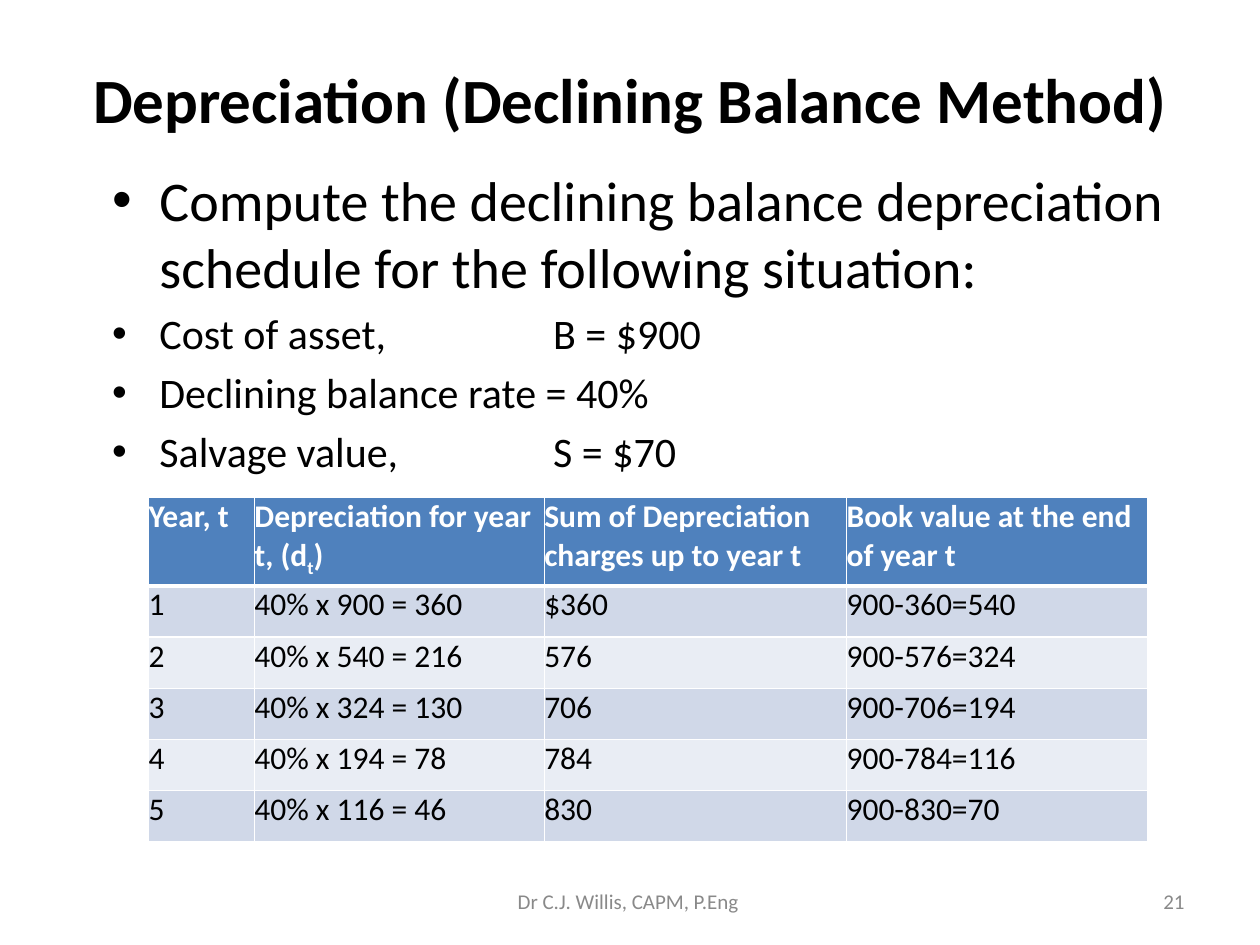
from dataclasses import dataclass

import pptx
import pptx.dml.color
import pptx.enum.text
import pptx.oxml
import pptx.oxml.ns
import pptx.util

RGBColor = pptx.dml.color.RGBColor
Pt = pptx.util.Pt
ALIGN = pptx.enum.text.PP_ALIGN
ANCHOR = pptx.enum.text.MSO_ANCHOR

BLACK = RGBColor(0x00, 0x00, 0x00)
WHITE = RGBColor(0xFF, 0xFF, 0xFF)
GREY = RGBColor(0x89, 0x89, 0x89)
HEADER = RGBColor(0x4F, 0x81, 0xBD)
BANDS = (RGBColor(0xD0, 0xD8, 0xE8), RGBColor(0xE9, 0xED, 0xF4))

FONT = "Calibri"
WIDTH = pptx.util.Inches(10)
HEIGHT = pptx.util.Inches(7.5)


@dataclass(frozen=True)
class Box:
    """Place and size in percent of the slide."""
    left: float
    top: float
    width: float
    height: float

    def emu(self) -> tuple[int, int, int, int]:
        return (across(self.left), down(self.top),
                across(self.width), down(self.height))


@dataclass(frozen=True)
class Footer:
    text: str
    box: Box
    align: ALIGN


@dataclass(frozen=True)
class Bullet:
    text: str
    size: int
    before: float


BULLETS = (
    Bullet("Compute the declining balance depreciation schedule "
           "for the following situation:", 32, 0),
    Bullet("Cost of asset, \t\t\tB = $900", 24, 4.8),
    Bullet("Declining balance rate = 40%", 24, 4.8),
    Bullet("Salvage value, \t\t\tS = $70", 24, 4.8),
)
FOOTERS = (
    Footer("21", Box(71.7, 92.67, 23.3, 5.33), ALIGN.RIGHT),
    Footer("Dr C.J. Willis, CAPM, P.Eng ", Box(34.2, 92.67, 31.7, 5.33), ALIGN.CENTER),
)
COLUMNS = (8.4, 23, 24, 23.9)
HEADER_ROW, BODY_ROW = 9.33, 5.42
ROWS = (
    ("Year, t", ("Depreciation for year t, (d", "t", ")"),
     "Sum of Depreciation charges up to year t",
     "Book value at the end of year t"),
    ("1", "40% x 900 = 360", "$360", "900-360=540"),
    ("2", "40% x 540 = 216", "576", "900-576=324"),
    ("3", "40% x 324 = 130", "706", "900-706=194"),
    ("4", "40% x 194 = 78", "784", "900-784=116"),
    ("5", "40% x 116 = 46", "830", "900-830=70"),
)


def across(share: float) -> int:
    return round(WIDTH * share / 100)


def down(share: float) -> int:
    return round(HEIGHT * share / 100)


def add_text(p, text: str, *, size: float, color: RGBColor = BLACK,
             bold: bool = False, align=None, before=None, subscript: bool = False):
    if align is not None:
        p.alignment = align
    if before is not None:
        p.space_before = Pt(before)
    r = p.add_run()
    r.text = text
    r.font.name = FONT
    r.font.size = Pt(size)
    r.font.bold = bold
    r.font.color.rgb = color
    if subscript:
        r.font._element.set("baseline", "-25000")
    return r


def place(sp, box: Box, anchor: ANCHOR):
    sp.left, sp.top, sp.width, sp.height = box.emu()
    tf = sp.text_frame
    tf.word_wrap = True
    tf.auto_size = pptx.enum.text.MSO_AUTO_SIZE.NONE
    tf.vertical_anchor = anchor
    return tf


def set_borders(cell, **widths: float) -> None:
    tc_pr = cell._tc.get_or_add_tcPr()
    for i, (side, width) in enumerate(widths.items()):
        tc_pr.insert(i, pptx.oxml.parse_xml(
            f'<a:ln{side} {pptx.oxml.ns.nsdecls("a")} w="{Pt(width)}">'
            f'<a:solidFill><a:srgbClr val="{WHITE}"/></a:solidFill></a:ln{side}>'))


def draw_cell(cell, content, row: int) -> None:
    head = row == 0
    cell.margin_left = cell.margin_right = cell.margin_top = cell.margin_bottom = 0
    cell.fill.solid()
    cell.fill.fore_color.rgb = HEADER if head else BANDS[(row - 1) % 2]
    set_borders(cell, L=1, R=1, T=3 if row == 1 else 1, B=3 if head else 1)
    parts = (content,) if isinstance(content, str) else content
    for i, part in enumerate(parts):
        add_text(cell.text_frame.paragraphs[0], part, size=18, bold=head,
                 color=WHITE if head else BLACK, subscript=i == 1)


def draw_table(slide) -> None:
    heights = [HEADER_ROW] + [BODY_ROW] * (len(ROWS) - 1)
    box = Box(11.8, 52.67, sum(COLUMNS), sum(heights))
    table = slide.shapes.add_table(len(ROWS), len(COLUMNS), *box.emu()).table
    table.horz_banding = False
    for column, width in zip(table.columns, COLUMNS):
        column.width = across(width)
    for i, (row, height) in enumerate(zip(table.rows, heights)):
        row.height = down(height)
        for cell, content in zip(row.cells, ROWS[i]):
            draw_cell(cell, content, i)


def main() -> None:
    prs = pptx.Presentation()
    prs.slide_width, prs.slide_height = WIDTH, HEIGHT
    slide = prs.slides.add_slide(prs.slide_layouts[1])

    tf = place(slide.shapes.title, Box(5, 4, 90, 12.8), ANCHOR.MIDDLE)
    add_text(tf.paragraphs[0], "Depreciation (Declining Balance Method)",
             size=36, bold=True, align=ALIGN.CENTER)

    tf = place(slide.placeholders[1], Box(7.9, 16.8, 87.1, 76), ANCHOR.TOP)
    for i, bullet in enumerate(BULLETS):
        p = tf.add_paragraph() if i else tf.paragraphs[0]
        add_text(p, bullet.text, size=bullet.size, before=bullet.before)

    draw_table(slide)

    for footer in FOOTERS:
        sp = slide.shapes.add_textbox(*footer.box.emu())
        tf = place(sp, footer.box, ANCHOR.MIDDLE)
        add_text(tf.paragraphs[0], footer.text, size=12, color=GREY,
                 align=footer.align)

    prs.save("out.pptx")


if __name__ == "__main__":
    main()
